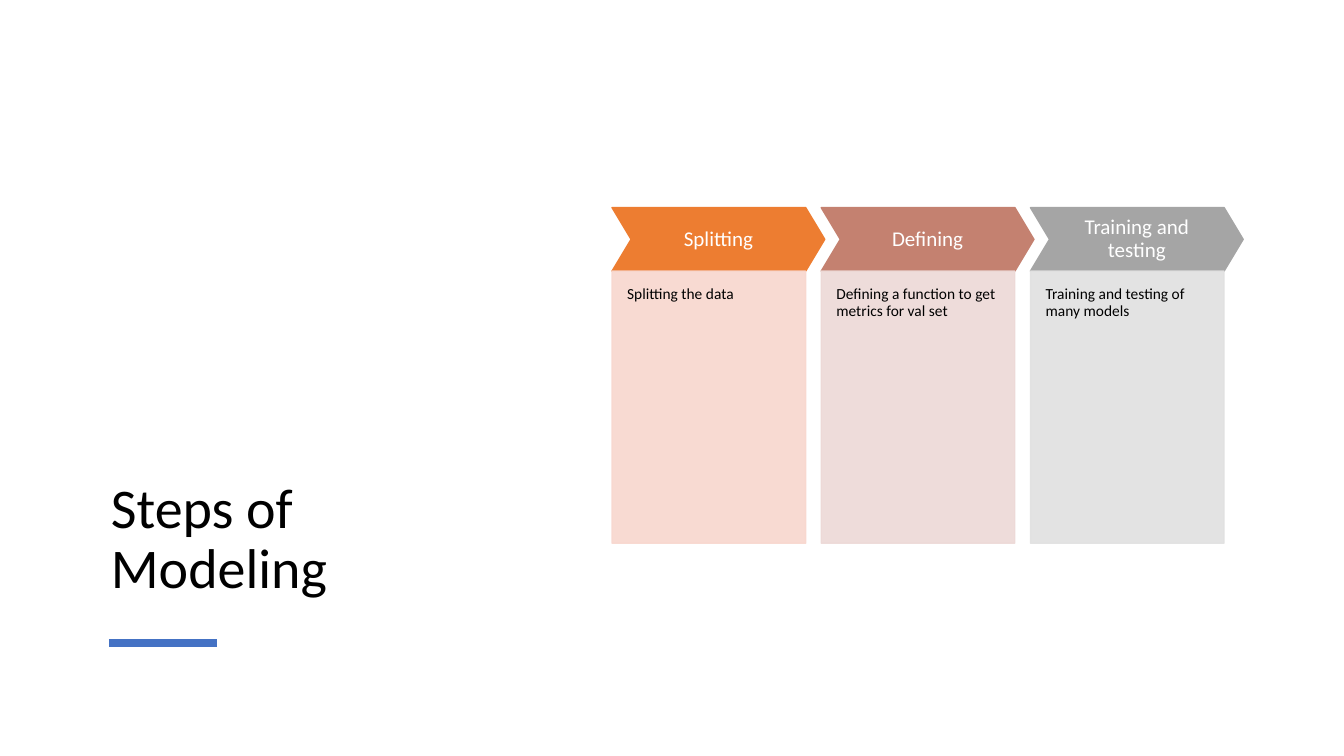
from lxml import etree
from pptx import Presentation
from pptx.dml.color import RGBColor
from pptx.enum.shapes import MSO_CONNECTOR, MSO_SHAPE
from pptx.enum.text import MSO_ANCHOR, PP_ALIGN
from pptx.oxml.ns import qn
from pptx.util import Inches, Pt

FONT = "Calibri"
BLACK = RGBColor(0x00, 0x00, 0x00)
WHITE = RGBColor(0xFF, 0xFF, 0xFF)
BLUE = RGBColor(0x44, 0x72, 0xC4)
ORANGE = RGBColor(0xED, 0x7D, 0x31)
PALE_ORANGE = RGBColor(0xF8, 0xD7, 0xCE)
CLAY = RGBColor(0xC4, 0x81, 0x70)
PALE_CLAY = RGBColor(0xED, 0xD9, 0xD7)
GRAY = RGBColor(0xA5, 0xA5, 0xA5)
PALE_GRAY = RGBColor(0xE1, 0xE1, 0xE1)

STEPS = [
    ("Splitting", "Splitting the data", ORANGE, PALE_ORANGE),
    ("Defining", "Defining a function to get metrics for val set", CLAY, PALE_CLAY),
    ("Training and testing", "Training and testing of many models", GRAY, PALE_GRAY),
]


def write(sp, text, size, color, align, anchor, insets):
    tf = sp.text_frame
    tf.word_wrap = True
    tf.vertical_anchor = anchor
    tf.margin_left, tf.margin_top, tf.margin_right, tf.margin_bottom = map(Inches, insets)
    p = tf.paragraphs[0]
    p.alignment = align
    p.line_spacing = 0.9
    r = p.add_run()
    r.text = text
    r.font.name = FONT
    r.font.size = Pt(size)
    r.font.color.rgb = color


def add_block(slide, kind, left, top, width, height, color):
    sp = slide.shapes.add_shape(kind, Inches(left), Inches(top), Inches(width), Inches(height))
    sp.shadow.inherit = False
    sp.fill.solid()
    sp.fill.fore_color.rgb = color
    sp.line.color.rgb = color
    sp.line.width = Pt(1)
    return sp


def set_alpha(sp, percent):
    for clr in sp.fill._xPr.iter(qn("a:srgbClr")):
        etree.SubElement(clr, qn("a:alpha")).set("val", str(percent * 1000))


def add_title(slide, left, top, width, height):
    title = slide.shapes.title
    title.left, title.top = Inches(left), Inches(top)
    title.width, title.height = Inches(width), Inches(height)
    write(title, "Steps of Modeling", 40, BLACK, PP_ALIGN.LEFT,
          MSO_ANCHOR.BOTTOM, (0.1, 0.05, 0.1, 0.05))

    # Accent bar below the title
    x, y = left + 0.08, top + height + 0.37
    bar = slide.shapes.add_connector(MSO_CONNECTOR.STRAIGHT, Inches(x), Inches(y),
                                     Inches(x + 1.07), Inches(y))
    bar.line.color.rgb = BLUE
    bar.line.width = Pt(6)
    etree.SubElement(bar._element.spPr, qn("a:effectLst"))


def add_steps(slide, left, top, width, height):
    head_h, tip, pitch = 0.63, 0.19, 2.075
    head_w = width - pitch * (len(STEPS) - 1)
    for i, (name, detail, color, pale) in enumerate(STEPS):
        x = left + i * pitch
        # Chevron heading
        head = add_block(slide, MSO_SHAPE.CHEVRON, x, top, head_w, head_h, color)
        head.adjustments[0] = 0.3
        write(head, name, 15, WHITE, PP_ALIGN.CENTER, MSO_ANCHOR.MIDDLE, (0.08,) * 4)
        # Detail panel
        panel = add_block(slide, MSO_SHAPE.RECTANGLE, x, top + head_h,
                          head_w - tip, height - head_h, pale)
        set_alpha(panel, 90)
        write(panel, detail, 11, BLACK, PP_ALIGN.LEFT, MSO_ANCHOR.TOP,
              (0.15, 0.15, 0.15, 0.3))


def main():
    prs = Presentation()
    prs.slide_width, prs.slide_height = Inches(13.33), Inches(7.5)
    slide = prs.slides.add_slide(prs.slide_layouts[5])
    add_title(slide, 1, 1, 3.88, 5.01)
    add_steps(slide, 6.07, 2.06, 6.26, 3.33)
    prs.save("out.pptx")


if __name__ == "__main__":
    main()
